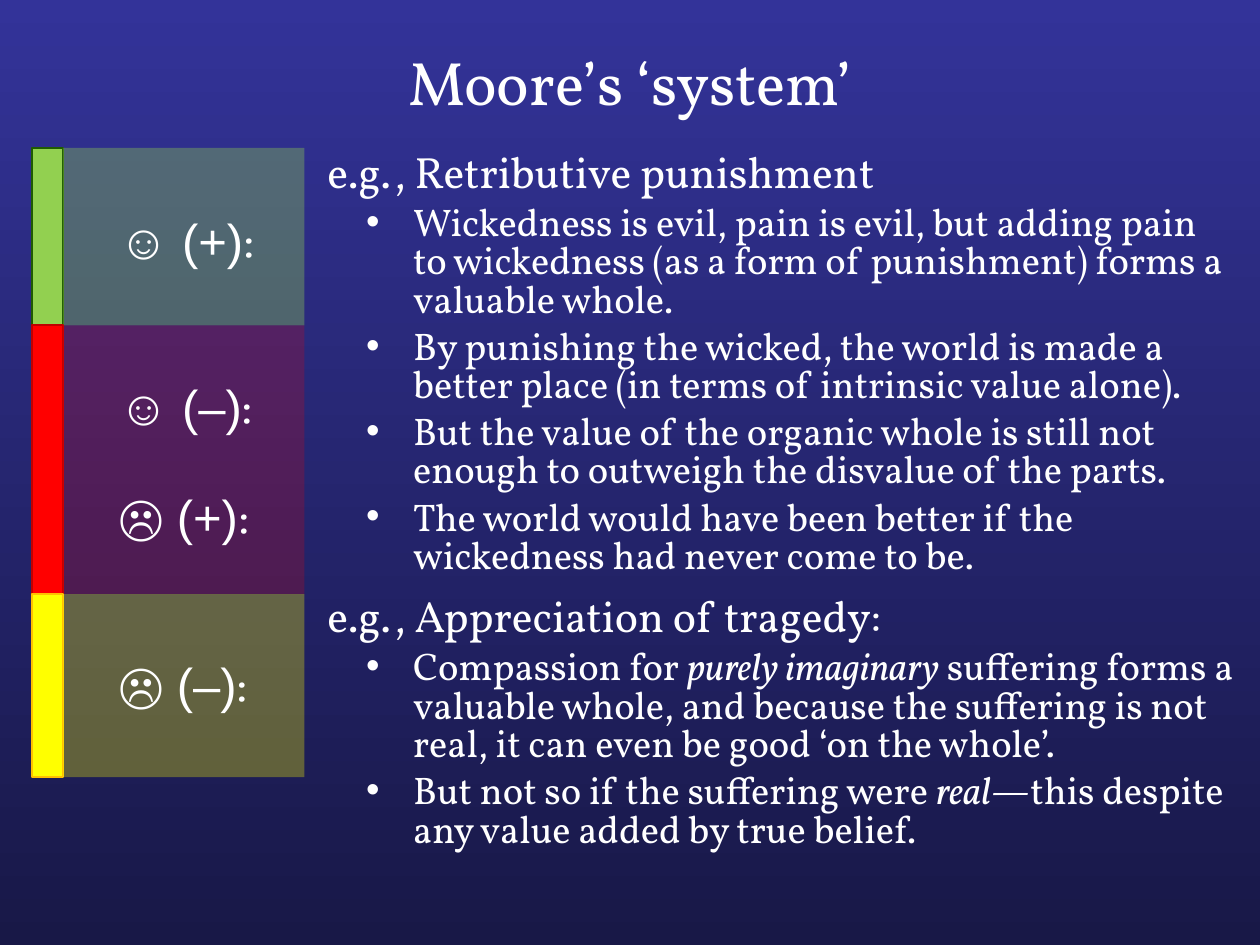
"""Build the slide on Moore's system of organic wholes."""
import pptx
import pptx.util
import pptx.dml.color
import pptx.enum.shapes
import pptx.enum.text
import lxml.etree

Cm = pptx.util.Cm
Pt = pptx.util.Pt
RGBColor = pptx.dml.color.RGBColor
WHITE = RGBColor(0xFF, 0xFF, 0xFF)
INDIGO = RGBColor(0x33, 0x33, 0x99)
NIGHT = RGBColor(0x18, 0x18, 0x47)
GREEN = RGBColor(0x92, 0xD0, 0x50)
DARK_GREEN = RGBColor(0x1F, 0x5C, 0x00)
RED = RGBColor(0xFF, 0x00, 0x00)
DARK_RED = RGBColor(0xC0, 0x00, 0x00)
YELLOW = RGBColor(0xFF, 0xFF, 0x00)
AMBER = RGBColor(0xFF, 0xC0, 0x00)
A = "{http://schemas.openxmlformats.org/drawingml/2006/main}"


def add_run(paragraph, text, size, font="Vollkorn", italic=False):
    run = paragraph.add_run()
    run.text = text
    run.font.name = font
    run.font.size = Pt(size)
    run.font.italic = italic
    run.font.color.rgb = WHITE


def add_block(left, top, width, height, color):
    block = slide.shapes.add_shape(
        pptx.enum.shapes.MSO_SHAPE.RECTANGLE, Cm(left), Cm(top), Cm(width), Cm(height))
    block.shadow.inherit = False
    block.fill.solid()
    block.fill.fore_color.rgb = color
    return block


deck = pptx.Presentation()
deck.slide_width, deck.slide_height = Cm(25.4), Cm(19.05)
slide = deck.slides.add_slide(deck.slide_layouts[5])

backdrop = slide.background.fill
backdrop.gradient()
backdrop.gradient_angle = 270
for stop, color in zip(backdrop.gradient_stops, (INDIGO, NIGHT)):
    stop.color.rgb = color

title = slide.shapes.title
title.left, title.top, title.width, title.height = Cm(1.27), Cm(0.43), Cm(22.86), Cm(2.41)
title.text_frame.vertical_anchor = pptx.enum.text.MSO_ANCHOR.MIDDLE
heading = title.text_frame.paragraphs[0]
heading.alignment = pptx.enum.text.PP_ALIGN.CENTER
add_run(heading, "Moore’s ‘system’", 35)

BANDS = [
    (2.98, 3.58, GREEN, DARK_GREEN, 36),
    (6.56, 5.42, RED, DARK_RED, 20),
    (11.98, 3.69, YELLOW, AMBER, 30),
]
for top, height, color, edge, opacity in BANDS:
    marker = add_block(0.64, top, 0.63, height, color)
    marker.line.color.rgb = edge
    marker.line.width = Pt(1)
    panel = add_block(1.27, top, 4.87, height, color)
    panel.line.fill.background()
    tint = panel.fill._xPr.find(f"{A}solidFill/{A}srgbClr")
    lxml.etree.SubElement(tint, f"{A}alpha", val=str(opacity * 1000))

labels = slide.shapes.add_textbox(Cm(1.27), Cm(4.1), Cm(4.87), Cm(11)).text_frame
labels.word_wrap = True
for index, (label, gap) in enumerate([("☺ (+)", 0), ("☺ (–)", 61), ("☹ (+)", 29), ("☹ (–)", 62)]):
    paragraph = labels.add_paragraph() if index else labels.paragraphs[0]
    paragraph.line_spacing = Pt(34)
    paragraph.space_before = Pt(gap)
    paragraph._p.get_or_add_pPr().set("marL", str(Cm(0.87)))
    add_run(paragraph, label, 28, "Arial")
    add_run(paragraph, ":", 28)

EXAMPLES = [
    ("e.g., Retributive punishment", 5, [
        ["Wickedness is evil, pain is evil, but adding pain to wickedness "
         "(as a form of punishment) forms a valuable whole."],
        ["By punishing the wicked, the world is made a better place "
         "(in terms of intrinsic value alone)."],
        ["But the value of the organic whole is still not enough to outweigh "
         "the disvalue of the parts."],
        ["The world would have been better if the wickedness had never come to be."],
    ]),
    ("e.g., Appreciation of tragedy:", 12, [
        ["Compassion for ", "purely imaginary",
         " suffering forms a valuable whole, and because the suffering is not real, "
         "it can even be good ‘on the whole’."],
        ["But not so if the suffering were ", "real",
         "—this despite any value added by true belief."],
    ]),
]
body = slide.shapes.add_textbox(Cm(6.35), Cm(2.97), Cm(18.85), Cm(14.48)).text_frame
body.word_wrap = True
for index, (example, gap, points) in enumerate(EXAMPLES):
    paragraph = body.add_paragraph() if index else body.paragraphs[0]
    paragraph.line_spacing = 0.83
    paragraph.space_before = Pt(gap)
    add_run(paragraph, example, 25)
    for point in points:
        paragraph = body.add_paragraph()
        paragraph.line_spacing = 0.83
        paragraph.space_before = Pt(5)
        properties = paragraph._p.get_or_add_pPr()
        properties.set("marL", str(Cm(1.73)))
        properties.set("indent", str(Cm(-0.95)))
        lxml.etree.SubElement(properties, f"{A}buFont", typeface="Arial")
        lxml.etree.SubElement(properties, f"{A}buChar", char="•")
        for position, text in enumerate(point):
            add_run(paragraph, text, 22, italic=position == 1)

deck.save("out.pptx")
